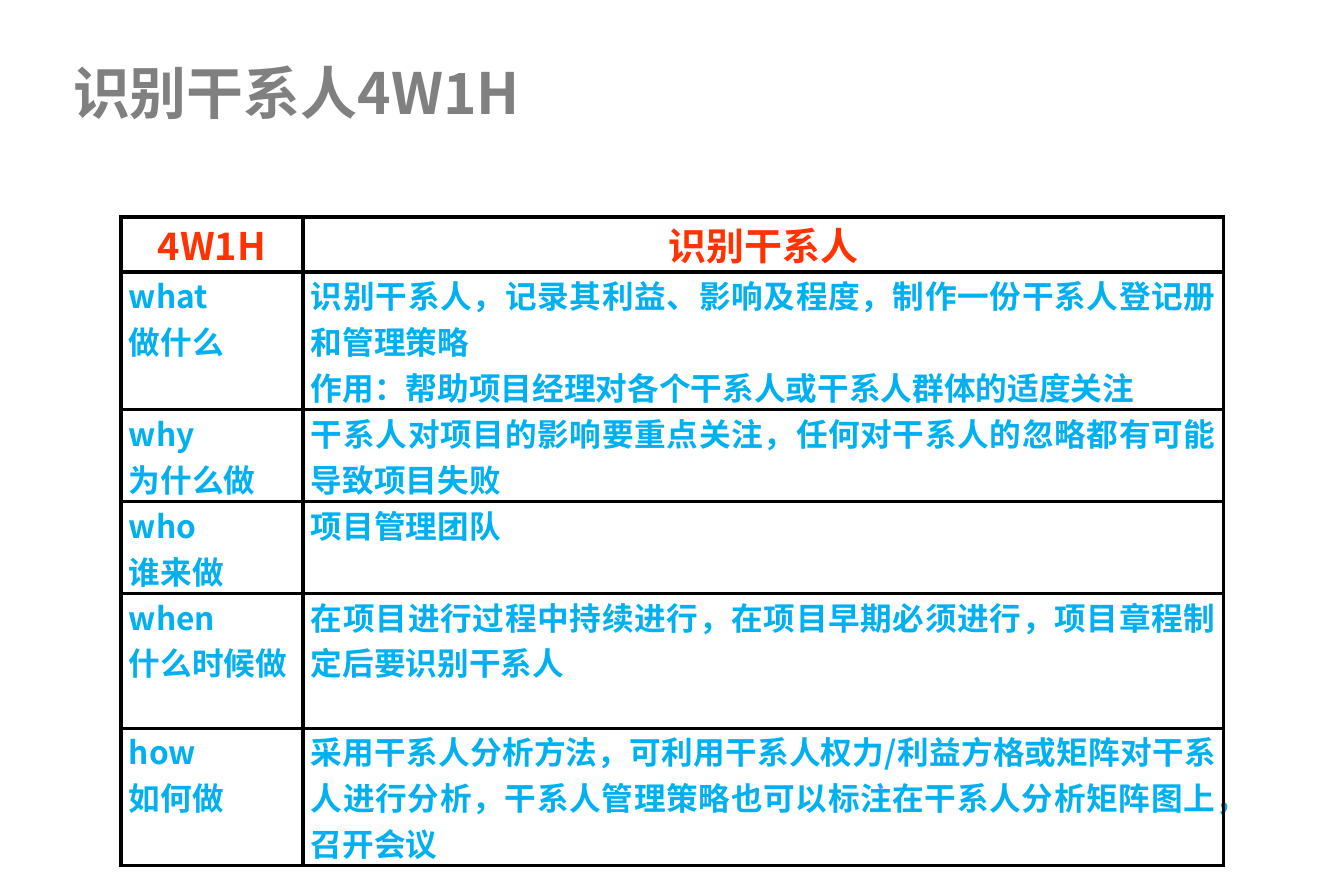
import pptx
import pptx.util
import pptx.dml.color
import pptx.enum.text
import pptx.oxml.ns
import lxml.etree

PX = 10801350 / 1344
THEME = {
    "face": "Noto Sans CJK SC",
    "title": ("808080", 36),
    "head": ("FF3300", 24),
    "body": ("00B0F0", 20),
    "back": "FFFFFF",
    "edge": "000000",
}
ROWS = [
    ("4W1H", "识别干系人"),
    ("what\n做什么", "识别干系人，记录其利益、影响及程度，制作一份干系人登记册和管理策略\n"
     "作用：帮助项目经理对各个干系人或干系人群体的适度关注"),
    ("why\n为什么做", "干系人对项目的影响要重点关注，任何对干系人的忽略都有可能导致项目失败"),
    ("who\n谁来做", "项目管理团队"),
    ("when\n什么时候做", "在项目进行过程中持续进行，在项目早期必须进行，项目章程制定后要识别干系人"),
    ("how\n如何做", "采用干系人分析方法，可利用干系人权力/利益方格或矩阵对干系人进行分析，"
     "干系人管理策略也可以标注在干系人分析矩阵图上，召开会议"),
]
WIDTHS = [182, 921]
HEIGHTS = [55, 135, 90, 90, 135, 135]
ALIGN = pptx.enum.text.PP_ALIGN
RGB = pptx.dml.color.RGBColor.from_string
qn = pptx.oxml.ns.qn


def px(count):
    return pptx.util.Emu(round(count * PX))


def write(frame, text, style, align):
    frame.text = text
    color, size = THEME[style]
    for para in frame.paragraphs:
        para.alignment = align
        font = para.font
        font.size = pptx.util.Pt(size)
        font.bold = True
        font.color.rgb = RGB(color)
        font.name = THEME["face"]
        props = para._p.pPr.find(qn("a:defRPr"))
        lxml.etree.SubElement(props, qn("a:ea"), typeface=THEME["face"])


deck = pptx.Presentation()
deck.slide_width, deck.slide_height = px(1344), px(896)
slide = deck.slides.add_slide(deck.slide_layouts[5])

title = slide.shapes.title
title.left, title.top, title.width, title.height = px(61), px(56), px(1210), px(71)
frame = title.text_frame
write(frame, "识别干系人4W1H", "title", ALIGN.LEFT)
frame.auto_size = pptx.enum.text.MSO_AUTO_SIZE.NONE
frame.vertical_anchor = pptx.enum.text.MSO_ANCHOR.MIDDLE
frame.margin_left = frame.margin_right = px(12)
frame.margin_top = frame.margin_bottom = px(7)

table = slide.shapes.add_table(
    len(ROWS), len(WIDTHS), px(121), px(217), px(sum(WIDTHS)), px(sum(HEIGHTS))
).table
table.first_row = table.horz_banding = False
for column, width in zip(table.columns, WIDTHS):
    column.width = px(width)

for index, (row, height) in enumerate(zip(table.rows, HEIGHTS)):
    row.height = px(height)
    style, align = ("body", ALIGN.JUSTIFY) if index else ("head", ALIGN.CENTER)
    for cell, text in zip(row.cells, ROWS[index]):
        write(cell.text_frame, text, style, align)
        cell.margin_left = cell.margin_right = px(8)
        cell.margin_top = cell.margin_bottom = 0
        props = cell._tc.get_or_add_tcPr()
        for side in "LRTB":
            line = lxml.etree.SubElement(
                props, qn("a:ln" + side), w=str(pptx.util.Pt(2.25)))
            fill = lxml.etree.SubElement(line, qn("a:solidFill"))
            lxml.etree.SubElement(fill, qn("a:srgbClr"), val=THEME["edge"])
        cell.fill.solid()
        cell.fill.fore_color.rgb = RGB(THEME["back"])

deck.save("out.pptx")
